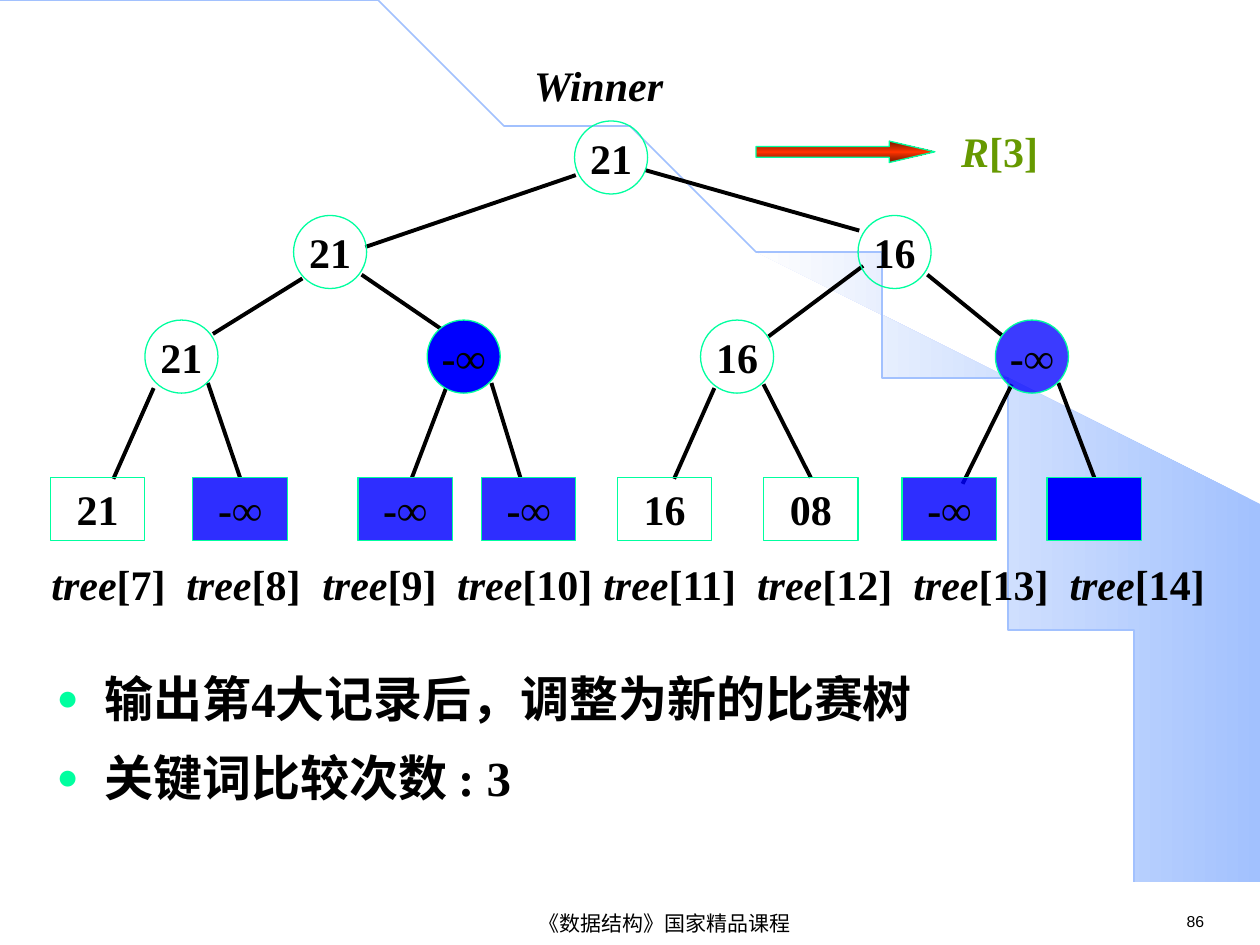
from math import asin, cos, pi, sin

from lxml.etree import SubElement
from pptx import Presentation
from pptx.dml.color import RGBColor
from pptx.enum.shapes import MSO_CONNECTOR, MSO_SHAPE
from pptx.enum.text import MSO_ANCHOR, PP_ALIGN
from pptx.oxml.ns import qn
from pptx.util import Inches, Pt

BLACK, BLUE, MINT, SKY, OLIVE = "000000", "0000FF", "00FF9F", "A2C1FE", "669900"
SERIF, SANS = "Times New Roman", "Arial"

CIRCLE, LEAF, LEAF_TOP = 0.58, (0.75, 0.5), 3.79
MATCHES = [
    ("21", 4.56, 0.96, 0), ("21", 2.33, 1.71, 0), ("16", 6.81, 1.71, 0),
    ("21", 1.15, 2.54, 0), ("-∞", 3.39, 2.54, 100),
    ("16", 5.56, 2.54, 0), ("-∞", 7.9, 2.54, 77),
]
LEAVES = [
    ("21", 0.4, 0), ("-∞", 1.53, 82), ("-∞", 2.84, 82), ("-∞", 3.82, 82),
    ("16", 4.9, 0), ("08", 6.06, 0), ("-∞", 7.16, 82), ("", 8.31, 100),
]
BRANCHES = {
    1: (4.57, 1.39, 2.9, 1.96), 2: (5.12, 1.35, 6.82, 1.83),
    3: (2.4, 2.21, 1.69, 2.65), 4: (2.87, 2.18, 3.5, 2.61),
    5: (6.85, 2.11, 6.1, 2.67), 6: (7.36, 2.18, 7.95, 2.66),
    7: (1.22, 3.08, 0.9, 3.8), 8: (1.65, 3.04, 1.93, 3.8),
    9: (3.54, 3.08, 3.27, 3.79), 10: (3.9, 3.04, 4.13, 3.79),
    11: (5.67, 3.08, 5.35, 3.8), 12: (6.06, 3.05, 6.42, 3.79),
    13: (8.03, 3.05, 7.64, 3.84), 14: (8.4, 3.04, 8.7, 3.8),
}
TOP_JOINED = (8, 12, 14)
LABEL_STOPS = [1.07, 2.15, 3.22, 4.38, 5.6, 6.84, 8.08]
POINTS = ["输出第4大记录后，调整为新的比赛树", "关键词比较次数 : 3"]


def rgb(value):
    """Turn a hex string into a colour."""
    return RGBColor.from_string(value)


def write(paragraph, *runs, size=24, font=SERIF, color=BLACK, bold=True, align=None):
    """Add runs to a paragraph; a run in a tuple is italic."""
    paragraph.alignment = align
    for content in runs:
        run = paragraph.add_run()
        run.text = content[0] if isinstance(content, tuple) else content
        run.font.italic = isinstance(content, tuple)
        run.font.size, run.font.name, run.font.bold = Pt(size), font, bold
        run.font.color.rgb = rgb(color)


def text_box(slide, box, *runs, anchor=MSO_ANCHOR.TOP, **text_format):
    """Add a wrapping text box and return its paragraph."""
    frame = slide.shapes.add_textbox(*map(Inches, box)).text_frame
    frame.word_wrap, frame.vertical_anchor = True, anchor
    write(frame.paragraphs[0], *runs, **text_format)
    return frame.paragraphs[0]


def style(shape, fill=None, opacity=100, line=None, width=0.75):
    """Set a plain fill and line without a shadow."""
    shape.shadow.inherit = False
    if fill:
        shape.fill.solid()
        shape.fill.fore_color.rgb = rgb(fill)
        if opacity < 100:
            color = shape.element.spPr.find(".//" + qn("a:srgbClr"))
            SubElement(color, qn("a:alpha"), val=str(opacity * 1000))
    else:
        shape.fill.background()
    if line:
        shape.line.color.rgb, shape.line.width = rgb(line), Pt(width)
    else:
        shape.line.fill.background()


def gradient(shape, angle, *colors):
    """Fill a shape with evenly spaced gradient stops."""
    shape.fill.gradient()
    shape.fill.gradient_angle = angle
    stops = shape.element.spPr.find(".//" + qn("a:gsLst"))
    stops.clear()
    for index, color in enumerate(colors):
        position = index * 100000 // (len(colors) - 1)
        stop = SubElement(stops, qn("a:gs"), pos=str(position))
        SubElement(stop, qn("a:srgbClr"), val=color)


def arc(start, steps=60):
    """Give points along the background quarter ellipse."""
    angles = [start + (pi / 2 - start) * i / steps for i in range(steps + 1)]
    return [(9.2 * sin(a), 7.49 * (1 - cos(a))) for a in angles]


def outline(slide, points, close):
    """Add a freeform through the points."""
    builder = slide.shapes.build_freeform(*points[0], scale=Inches(1))
    builder.add_line_segments(points[1:], close=close)
    return builder.convert_to_shape()


def background(slide):
    """Draw the shaded wedge and the curve."""
    wedge = outline(slide, arc(asin(5.89 / 9.2)) + [(9.99, 7.49), (9.99, 4.23)], True)
    style(wedge)
    gradient(wedge, 180, SKY, "FEFEFE")
    style(outline(slide, arc(0), False), line=SKY, width=1)


def branch(slide, ends):
    """Add one tree branch."""
    line = slide.shapes.add_connector(MSO_CONNECTOR.STRAIGHT, *map(Inches, ends))
    line.line.color.rgb, line.line.width = rgb(BLACK), Pt(2.25)
    SubElement(line.element.spPr, qn("a:effectLst"))
    return line


def node(slide, kind, box, value, opacity):
    """Add one tree node."""
    shape = slide.shapes.add_shape(kind, *map(Inches, box))
    style(shape, BLUE if opacity else None, opacity, MINT)
    frame = shape.text_frame
    frame.word_wrap, frame.vertical_anchor = False, MSO_ANCHOR.MIDDLE
    if value:
        write(frame.paragraphs[0], value, align=PP_ALIGN.CENTER)
    return shape


def tree(slide):
    """Draw the branches, matches, leaves and leaf labels."""
    branches = {child: branch(slide, ends) for child, ends in BRANCHES.items()}
    nodes = [node(slide, MSO_SHAPE.OVAL, (x, y, CIRCLE, CIRCLE), value, opacity)
             for value, x, y, opacity in MATCHES]
    nodes += [node(slide, MSO_SHAPE.RECTANGLE, (x, LEAF_TOP, *LEAF), value, opacity)
              for value, x, opacity in LEAVES]
    for child in TOP_JOINED:
        branches[child].end_connect(nodes[child], 0)

    runs = []
    for index in range(len(MATCHES), len(nodes)):
        tab = "\t" if index < len(nodes) - 1 else ""
        runs += [("tree",), f"[{index}]{tab}"]
    labels = text_box(slide, (0.31, 4.38, 9.42, 0.5), *runs)
    tabs = SubElement(labels._p.get_or_add_pPr(), qn("a:tabLst"))
    for stop in LABEL_STOPS:
        SubElement(tabs, qn("a:tab"), pos=str(Inches(stop)), algn="l")


def bullets(body):
    """Place and fill the bullet list."""
    body.left, body.top, body.width, body.height = map(Inches, (0.35, 5.09, 9.35, 1.5))
    frame = body.text_frame
    for index, point in enumerate(POINTS):
        paragraph = frame.add_paragraph() if index else frame.paragraphs[0]
        paragraph.line_spacing = 1.35
        paragraph.space_before = paragraph.space_after = Pt(0)
        properties = paragraph._p.get_or_add_pPr()
        properties.set("marL", str(Inches(0.38)))
        properties.set("indent", str(-Inches(0.38)))
        SubElement(SubElement(properties, qn("a:buClr")), qn("a:srgbClr"), val=MINT)
        SubElement(properties, qn("a:buSzPct"), val="75000")
        SubElement(properties, qn("a:buFont"), typeface=SANS)
        SubElement(properties, qn("a:buChar"), char="●")
        write(paragraph, point, size=28, align=PP_ALIGN.JUSTIFY)


def main():
    """Build the slide and save it."""
    deck = Presentation()
    deck.slide_width, deck.slide_height = Inches(10), Inches(7.5)
    slide = deck.slides.add_slide(deck.slide_layouts[1])
    title = slide.shapes.title.element
    title.getparent().remove(title)

    background(slide)
    bullets(slide.placeholders[1])
    tree(slide)
    text_box(slide, (4.14, 0.42, 1.32, 0.5), ("Winner",))
    arrow = slide.shapes.add_shape(MSO_SHAPE.RIGHT_ARROW, *map(Inches, (6, 1.12, 1.42, 0.17)))
    arrow.adjustments[0], arrow.adjustments[1] = 0.5, 2.13
    style(arrow, line=MINT)
    gradient(arrow, 90, "751700", "FF3300", "751700")
    text_box(slide, (7.53, 0.95, 0.9, 0.5), ("R",), "[3]", color=OLIVE)
    text_box(slide, (2.4, 7.21, 5.75, 0.24), "《数据结构》国家精品课程", size=12, font=SANS,
             bold=False, align=PP_ALIGN.CENTER, anchor=MSO_ANCHOR.MIDDLE)
    text_box(slide, (9.32, 7.19, 0.6, 0.25), "86", size=9, font=SANS, bold=False)
    deck.save("out.pptx")


if __name__ == "__main__":
    main()
